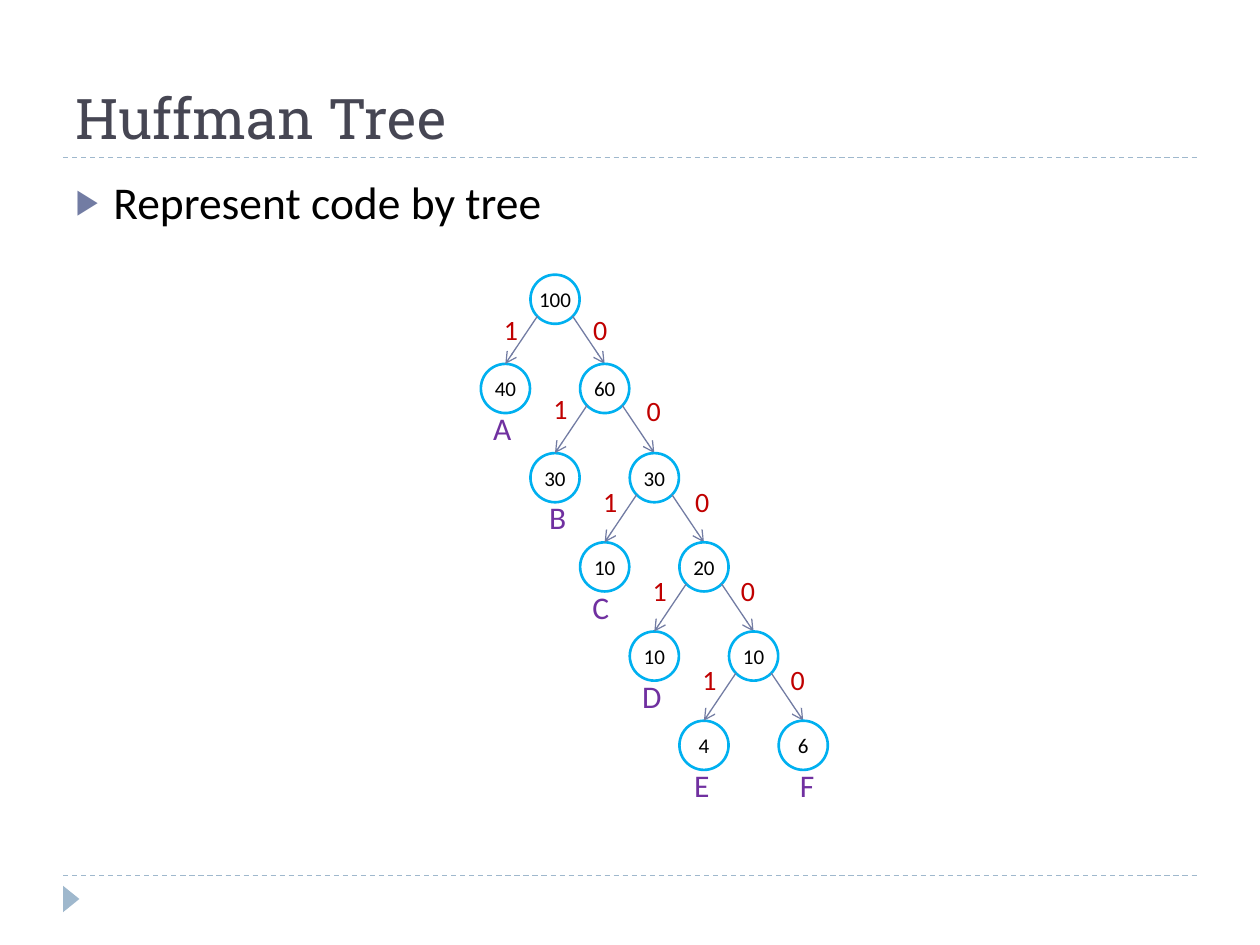
from lxml import etree
from pptx import Presentation
from pptx import util as u
from pptx.dml.color import RGBColor
from pptx.enum import dml, shapes, text
from pptx.oxml import ns

Inches, Pt = u.Inches, u.Pt
RULE = RGBColor(0x9F, 0xB8, 0xCD)
ACCENT = RGBColor(0x72, 0x7C, 0xA3)
HEADING = RGBColor(0x46, 0x46, 0x53)
BLACK = RGBColor(0, 0, 0)
NODE = RGBColor(0x00, 0xB0, 0xF0)
BIT = RGBColor(0xC0, 0x00, 0x00)
LETTER = RGBColor(0x70, 0x30, 0xA0)

NODE_SIZE = 0.39
STEP_X, STEP_Y = 0.394, 0.708
INNER = ["100", "60", "30", "20", "10"]
LEAVES = [("40", "A", 0, 0.37), ("30", "B", 0.05, 0.34), ("10", "C", 0, 0.38),
          ("10", "D", 0, 0.39), ("4", "E", 0.02, 0.33)]
LAST_LEAF = ("6", "F", 0.07, 0.32)
ONE_TOPS = [0.25, 0.17, 0.2, 0.2, 0.2]
ZERO_SPOTS = [(0.4, 0.25), (0.43, 0.19), (0.42, 0.2), (0.39, 0.2), (0.39, 0.2)]


def add_xml(parent, tag, **attributes):
    """Append a drawing element with the given attributes."""
    return etree.SubElement(parent, ns.qn(tag), attributes)


def write(frame, wording, size, color, font="Calibri"):
    """Put one formatted paragraph in a text frame and return it."""
    frame.text = wording
    para = frame.paragraphs[0]
    span = para.runs[0].font
    span.name, span.size, span.color.rgb = font, Pt(size), color
    return para


def add_line(page, start, end, color):
    """Draw a thin straight line without shadow."""
    line = page.shapes.add_connector(
        shapes.MSO_CONNECTOR.STRAIGHT, *map(Inches, (*start, *end)))
    line.line.color.rgb = color
    line.line.width = Pt(0.75)
    add_xml(line._element.spPr, "a:effectLst")
    return line


def add_arrow(page, start, end):
    """Draw a branch with an open arrowhead at its end."""
    arrow = add_line(page, start, end, ACCENT)
    add_xml(arrow.line._get_or_add_ln(), "a:tailEnd", type="arrow")


def add_label(page, left, top, width, height, wording, size, color):
    """Add a small unwrapped text label."""
    box = page.shapes.add_textbox(*map(Inches, (left, top, width, height)))
    box.text_frame.word_wrap = False
    box.text_frame.auto_size = text.MSO_AUTO_SIZE.SHAPE_TO_FIT_TEXT
    write(box.text_frame, wording, size, color)


def add_node(page, left, top, weight):
    """Add a ringed node with its weight in the middle."""
    node = page.shapes.add_shape(
        shapes.MSO_SHAPE.OVAL, *map(Inches, (left, top, NODE_SIZE, NODE_SIZE)))
    node.shadow.inherit = False
    node.fill.background()
    node.line.color.rgb = NODE
    node.line.width = Pt(1.5)
    frame = node.text_frame
    frame.margin_left = frame.margin_right = frame.margin_top = frame.margin_bottom = 0
    frame.vertical_anchor = text.MSO_ANCHOR.MIDDLE
    frame.word_wrap = True
    write(frame, weight, 12, BLACK).alignment = text.PP_ALIGN.CENTER


def add_leaf(page, left, top, weight, letter, shift, width):
    """Add a leaf node and the letter it encodes."""
    add_node(page, left, top, weight)
    add_label(page, left + shift, top + 0.31, width, 0.4, letter, 18, LETTER)


def add_tree(page, left, top):
    """Build the code tree from its root at the given corner."""
    middle = NODE_SIZE / 2
    for level, (weight, leaf) in enumerate(zip(INNER, LEAVES)):
        x, y = left + level * STEP_X, top + level * STEP_Y
        add_node(page, x, y, weight)
        add_leaf(page, x - STEP_X, y + STEP_Y, *leaf)
        for side in (-1, 1):
            add_arrow(page, (x + middle + side * 0.14, y + 0.33),
                      (x + middle + side * STEP_X, y + STEP_Y))
        zero_x, zero_y = ZERO_SPOTS[level]
        add_label(page, x - 0.31, y + ONE_TOPS[level], 0.31, 0.37, "1", 16, BIT)
        add_label(page, x + zero_x, y + zero_y, 0.31, 0.37, "0", 16, BIT)
    depth = len(INNER)
    add_leaf(page, left + depth * STEP_X, top + depth * STEP_Y, *LAST_LEAF)


def add_frame(page, left, width):
    """Draw the dashed rules and the corner triangle."""
    for y in (1.25, 6.95):
        rule = add_line(page, (left, y), (left + width, y), RULE)
        rule.line.dash_style = dml.MSO_LINE.DASH
    marker = page.shapes.add_shape(
        shapes.MSO_SHAPE.ISOSCELES_TRIANGLE,
        *map(Inches, (left - 0.04, 7.07, 0.21, 0.13)))
    marker.rotation = 90
    marker.shadow.inherit = False
    marker.fill.solid()
    marker.fill.fore_color.rgb = RULE
    marker.line.fill.background()


def place(holder, left, top, width, height):
    """Move a placeholder to the given box."""
    holder.left, holder.top = Inches(left), Inches(top)
    holder.width, holder.height = Inches(width), Inches(height)


def add_heading(page, left, width):
    """Fill the title and the bulleted body."""
    title, body = page.placeholders
    place(title, left, 0.17, width, 1.08)
    title.text_frame.vertical_anchor = text.MSO_ANCHOR.BOTTOM
    para = write(title.text_frame, "Huffman Tree", 32, HEADING, "Roboto Slab")
    para.alignment = text.PP_ALIGN.LEFT
    place(body, left, 1.33, width, 5.4)
    para = write(body.text_frame, "Represent code by tree", 26, BLACK)
    para.space_before = Pt(6)
    props = para._p.get_or_add_pPr()
    props.set("marL", str(Inches(0.3)))
    props.set("indent", str(-Inches(0.3)))
    add_xml(add_xml(props, "a:buClr"), "a:srgbClr", val=str(ACCENT))
    add_xml(props, "a:buSzPct", val="76000")
    add_xml(props, "a:buChar", char="▶")


deck = Presentation()
deck.slide_width, deck.slide_height = Inches(10), Inches(7.5)
page = deck.slides.add_slide(deck.slide_layouts[1])
add_frame(page, 0.5, 9)
add_heading(page, 0.5, 9)
add_tree(page, 4.21, 2.18)
deck.save("out.pptx")
